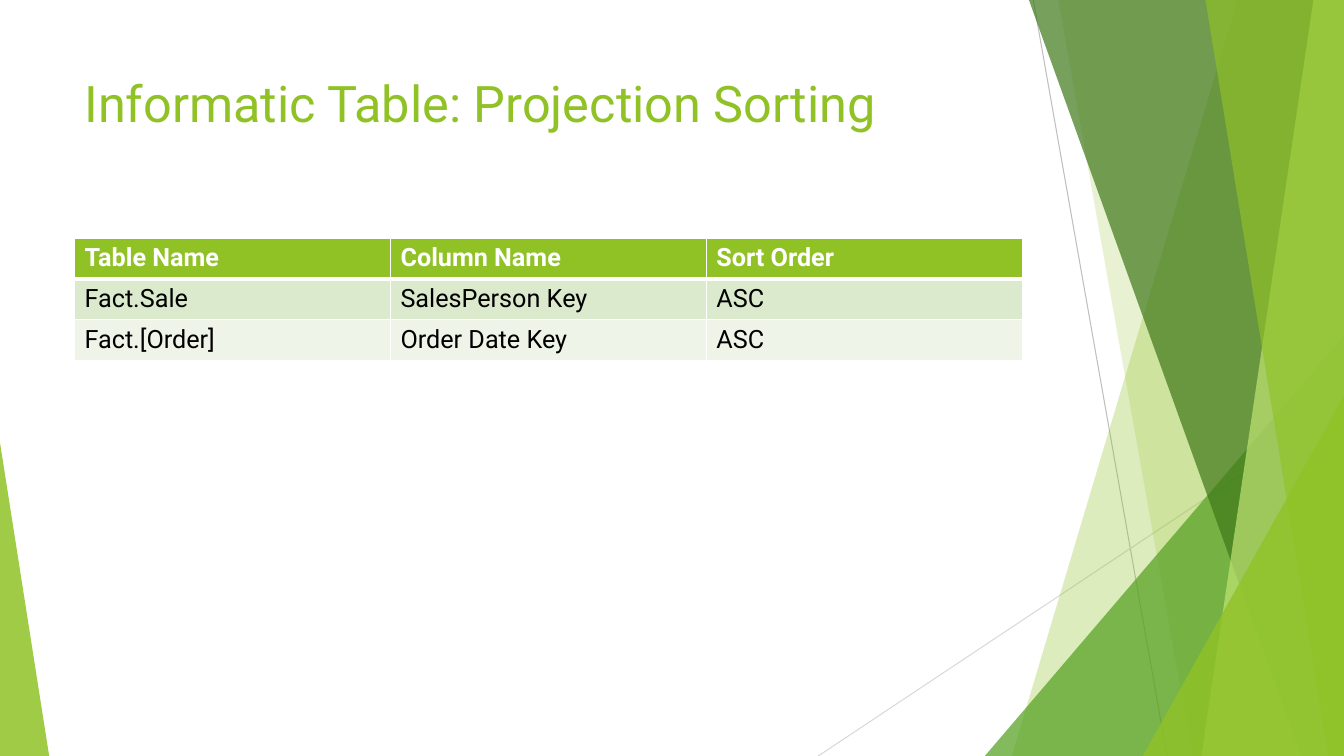
from pptx import Presentation
from pptx import util as u
from pptx.dml.color import RGBColor
from pptx.enum import shapes, text
from pptx.oxml import parse_xml
from pptx.oxml.ns import nsdecls, qn

FONT = "Roboto"
COLORS = {
    "lime": "90C226",
    "green": "54A021",
    "forest": "3F7819",
    "pale": "C0E474",
    "line_dark": "BFBFBF",
    "line_light": "D9D9D9",
    "white": "FFFFFF",
    "black": "000000",
    "band_dark": "DBE9CD",
    "band_light": "EEF4E8",
}
ROWS = [
    ("Table Name", "Column Name", "Sort Order"),
    ("Fact.Sale", "SalesPerson Key", "ASC"),
    ("Fact.[Order]", "Order Date Key", "ASC"),
]
ROW_FILLS = ["lime", "band_dark", "band_light"]


def color(name):
    """Return the named colour."""
    return RGBColor.from_string(COLORS[name])


def add_run(paragraph, words, size, color_name, bold=False):
    """Add one formatted run to a paragraph."""
    run = paragraph.add_run()
    run.text = words
    run.font.name = FONT
    run.font.size = u.Pt(size)
    run.font.bold = bold
    run.font.color.rgb = color(color_name)


def add_thin_line(slide, start, end, color_name):
    """Draw a hairline between two points."""
    line = slide.shapes.add_connector(shapes.MSO_CONNECTOR.STRAIGHT, *start, *end)
    line.line.color.rgb = color(color_name)
    line.line.width = u.Pt(0.75)
    line._element.spPr.append(parse_xml(f"<a:effectLst {nsdecls('a')}/>"))


def paint(shape, color_name, opacity):
    """Give a shape a translucent fill without outline or shadow."""
    shape.shadow.inherit = False
    shape.line.fill.background()
    shape.fill.solid()
    shape.fill.fore_color.rgb = color(color_name)
    tint = shape._element.spPr.find(qn("a:solidFill"))[0]
    tint.append(parse_xml(f'<a:alpha {nsdecls("a")} val="{opacity * 1000}"/>'))


def add_band(slide, box, top_inset, bottom_inset, color_name, opacity):
    """Draw a slanted band reaching the right edge of the box."""
    left, top, width, height = box
    right, bottom = left + width, top + height
    builder = slide.shapes.build_freeform(right - u.Cm(top_inset), top)
    builder.add_line_segments(
        [(right, top), (right, bottom), (right - u.Cm(bottom_inset), bottom)]
    )
    paint(builder.convert_to_shape(), color_name, opacity)


def add_corner(slide, box, width, height, color_name, opacity, on_right=True):
    """Draw a right triangle in a bottom corner of the box."""
    left, top, box_width, box_height = box
    x = left + box_width - u.Cm(width) if on_right else left
    triangle = slide.shapes.add_shape(
        shapes.MSO_SHAPE.ISOSCELES_TRIANGLE,
        x, top + box_height - u.Cm(height), u.Cm(width), u.Cm(height),
    )
    triangle.adjustments[0] = 1 if on_right else 0
    paint(triangle, color_name, opacity)


def add_backdrop(slide, box):
    """Draw the faceted decoration along the edges of the box."""
    left, top, width, height = box
    right, bottom = left + width, top + height
    add_thin_line(slide, (right - u.Cm(7.83), top), (right - u.Cm(4.46), bottom), "line_dark")
    add_thin_line(slide, (right, bottom - u.Cm(8.81)), (right - u.Cm(13.25), bottom), "line_light")
    add_band(slide, box, 2.68, 8.37, "lime", 30)
    add_band(slide, box, 7.2, 3.82, "lime", 20)
    add_corner(slide, box, 9.05, 10.59, "green", 72)
    add_band(slide, box, 7.94, 1.08, "forest", 70)
    add_band(slide, box, 0.77, 3.59, "pale", 70)
    add_band(slide, box, 3.49, 0.39, "lime", 65)
    add_corner(slide, box, 5.07, 9.07, "lime", 80)
    add_corner(slide, box, 1.24, 7.9, "lime", 85, on_right=False)


def add_title(slide, box, words):
    """Write the slide title at the top of the box."""
    frame = slide.shapes.add_textbox(*box).text_frame
    frame.word_wrap = True
    frame.vertical_anchor = text.MSO_ANCHOR.TOP
    add_run(frame.paragraphs[0], words, 36, "lime")


def add_borders(cell, top_width, bottom_width):
    """Outline a cell in white with the given top and bottom widths."""
    properties = cell._tc.get_or_add_tcPr()
    for side, width in zip("LRTB", (1, 1, top_width, bottom_width)):
        properties.append(parse_xml(
            f'<a:ln{side} {nsdecls("a")} w="{u.Pt(width)}"><a:solidFill>'
            f'<a:srgbClr val="{COLORS["white"]}"/></a:solidFill></a:ln{side}>'
        ))


def add_sorting_table(slide, box):
    """Fill the box with the projection sorting table."""
    table = slide.shapes.add_table(len(ROWS), len(ROWS[0]), *box).table
    for row_index, row in enumerate(ROWS):
        is_header = row_index == 0
        for column_index, words in enumerate(row):
            cell = table.cell(row_index, column_index)
            add_borders(cell, 3 if row_index == 1 else 1, 3 if is_header else 1)
            cell.fill.solid()
            cell.fill.fore_color.rgb = color(ROW_FILLS[row_index])
            add_run(cell.text_frame.paragraphs[0], words, 18,
                    "white" if is_header else "black", is_header)


def main():
    """Build and save the presentation."""
    presentation = Presentation()
    presentation.slide_width = u.Cm(33.87)
    presentation.slide_height = u.Cm(19.05)
    slide = presentation.slides.add_slide(presentation.slide_layouts[6])
    add_backdrop(slide, (0, 0, presentation.slide_width, presentation.slide_height))
    left, width = u.Cm(1.88), u.Cm(23.88)
    add_title(slide, (left, u.Cm(1.7), width, u.Cm(3.66)), "Informatic Table: Projection Sorting")
    add_sorting_table(slide, (left, u.Cm(6), width, u.Cm(3.09)))
    presentation.save("out.pptx")


if __name__ == "__main__":
    main()
